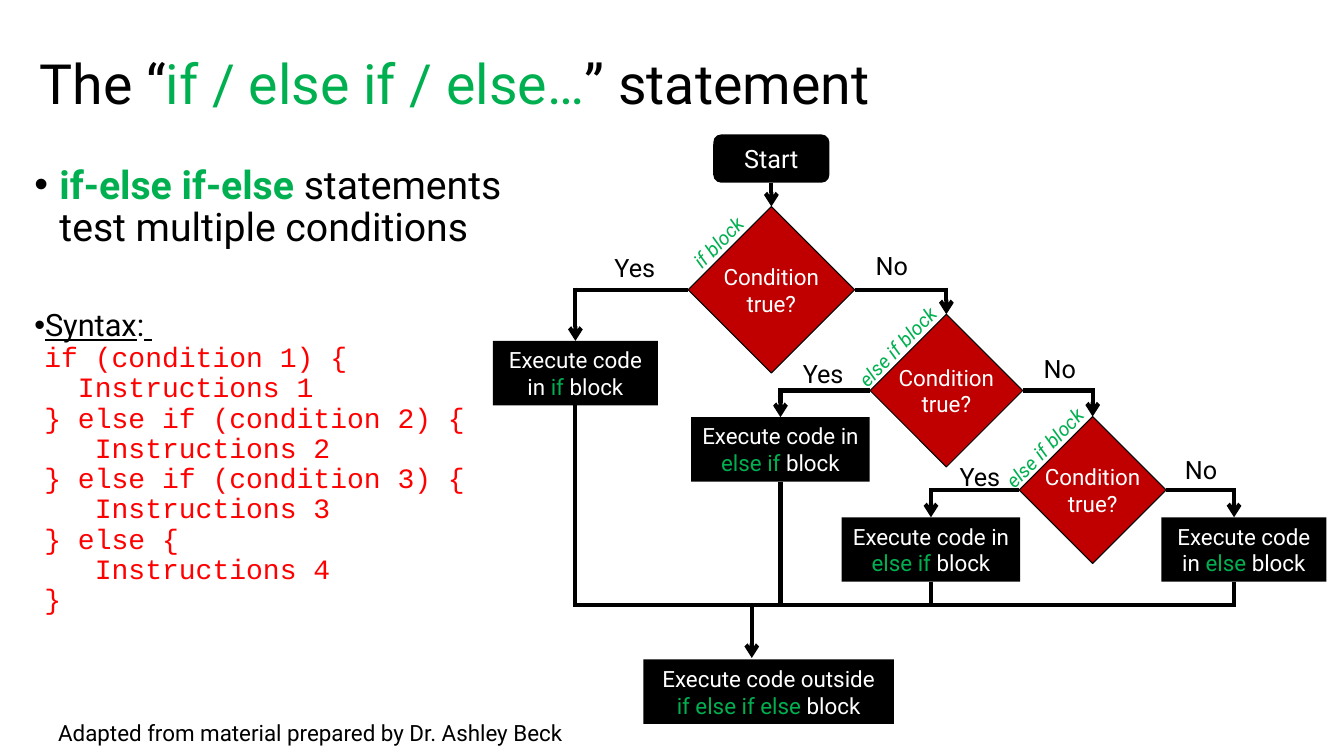
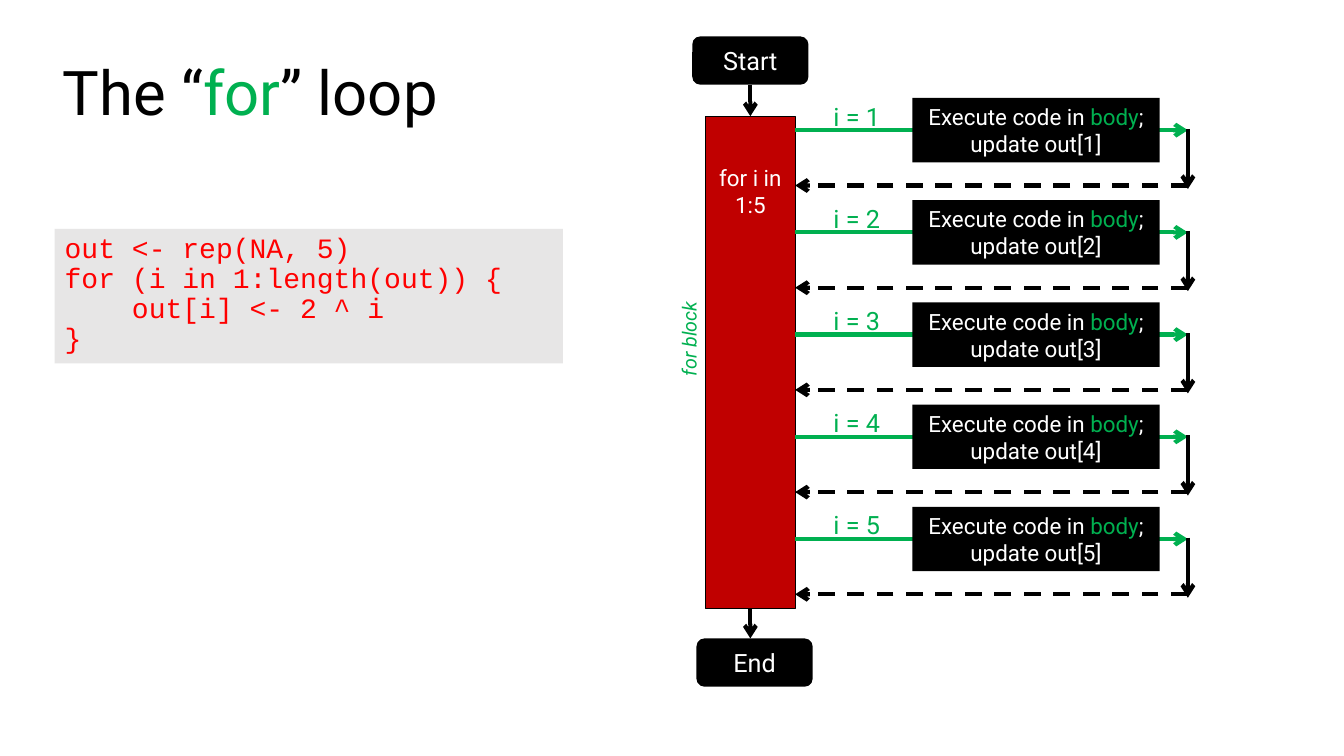
import copy
import dataclasses

import lxml.etree
import pptx
import pptx.dml.color
import pptx.enum.dml
import pptx.enum.shapes
import pptx.enum.text
import pptx.oxml.ns
import pptx.util

Pt = pptx.util.Pt
RGBColor = pptx.dml.color.RGBColor
Shape = pptx.enum.shapes.MSO_SHAPE
Align = pptx.enum.text.PP_ALIGN
Anchor = pptx.enum.text.MSO_ANCHOR
qn = pptx.oxml.ns.qn

BLACK = RGBColor(0x00, 0x00, 0x00)
WHITE = RGBColor(0xFF, 0xFF, 0xFF)
GREEN = RGBColor(0x00, 0xB0, 0x50)
RED = RGBColor(0xC0, 0x00, 0x00)
CODE_RED = RGBColor(0xFF, 0x00, 0x00)
GRAY = RGBColor(0xE7, 0xE6, 0xE6)

TEXT_FONT = "Roboto"
CODE_FONT = "Courier New"
TOP, LEFT, BOTTOM, RIGHT = range(4)
LINE_WIDTH = 3
BOX_HEIGHT = 46

IF_CODE = """if (condition 1) {
  Instructions 1
} else if (condition 2) {
   Instructions 2
} else if (condition 3) {
   Instructions 3
} else {
   Instructions 4
}"""
FOR_CODE = """out <- rep(NA, 5)
for (i in 1:length(out)) {
    out[i] <- 2 ^ i
}"""


@dataclasses.dataclass
class Span:
    text: str
    color: RGBColor = BLACK
    size: float = 16
    font: str = TEXT_FONT
    bold: bool = False
    italic: bool = False
    underline: bool = False


class Flowchart:
    def __init__(self, deck):
        self.deck = deck
        self.page = None

    def new_page(self):
        self.page = self.deck.slides.add_slide(self.deck.slide_layouts[1])

    def add_spans(self, para, spans, align=Align.CENTER):
        para.alignment = align
        for span in spans:
            for index, part in enumerate(span.text.split("\n")):
                if index:
                    para.add_line_break()
                if part:
                    run = para.add_run()
                    run.text = part
                    run.font.name = span.font
                    run.font.size = Pt(span.size)
                    run.font.color.rgb = span.color
                    run.font.bold = span.bold
                    run.font.italic = span.italic
                    run.font.underline = span.underline
            for line_break in para._p.findall(qn("a:br")):
                if len(line_break) == 0:
                    line_break.append(copy.deepcopy(run.font._element))

    def place(self, holder, left, top, width, height):
        holder.left, holder.top = Pt(left), Pt(top)
        holder.width, holder.height = Pt(width), Pt(height)
        holder.text_frame.word_wrap = True
        holder.text_frame.auto_size = pptx.enum.text.MSO_AUTO_SIZE.NONE

    def title(self, left, top, width, size, before, keyword, after):
        holder = self.page.shapes.title
        self.place(holder, left, top, width, 84)
        holder.text_frame.vertical_anchor = Anchor.MIDDLE
        para = holder.text_frame.paragraphs[0]
        para.line_spacing = 0.9
        self.add_spans(para, [Span(before, size=size), Span(keyword, GREEN, size),
                              Span(after, size=size)], Align.LEFT)

    def body(self, left, top, width, height):
        holder = self.page.placeholders[1]
        self.place(holder, left, top, width, height)
        holder.text_frame.vertical_anchor = Anchor.TOP
        return holder

    def body_para(self, para, spans, before=10, margin=0, indent=0, bullet=False):
        self.add_spans(para, spans, Align.LEFT)
        para.line_spacing = 0.9
        para.space_before = Pt(before)
        props = para._p.get_or_add_pPr()
        props.set("marL", str(Pt(margin)))
        props.set("indent", str(Pt(indent)))
        if bullet:
            color = lxml.etree.SubElement(props, qn("a:buClr"))
            lxml.etree.SubElement(color, qn("a:srgbClr")).set("val", str(BLACK))
            lxml.etree.SubElement(props, qn("a:buFont")).set("typeface", "Arial")
            lxml.etree.SubElement(props, qn("a:buChar")).set("char", "•")
        else:
            lxml.etree.SubElement(props, qn("a:buNone"))

    def shape(self, kind, center, top, width, height, spans, fill=BLACK, outline=None):
        shape = self.page.shapes.add_shape(
            kind, Pt(center - width / 2), Pt(top), Pt(width), Pt(height))
        shape.shadow.inherit = False
        shape.fill.solid()
        shape.fill.fore_color.rgb = fill
        if outline is None:
            shape.line.fill.background()
        else:
            shape.line.color.rgb = outline
            shape.line.width = Pt(0.75)
        shape.text_frame.word_wrap = True
        self.add_spans(shape.text_frame.paragraphs[0], spans)
        return shape

    def terminal(self, center, top, text):
        return self.shape(Shape.ROUNDED_RECTANGLE, center, top, 83, 34.5,
                          [Span(text, WHITE, 18)])

    def step(self, center, top, width, before, keyword, after):
        return self.shape(Shape.RECTANGLE, center, top, width, BOX_HEIGHT,
                          [Span(before, WHITE), Span(keyword, GREEN), Span(after, WHITE)])

    def decision(self, center, middle, size):
        diamond = self.shape(Shape.DIAMOND, center, middle - size / 2, size, size,
                             [Span("Condition\ntrue?", WHITE)], RED, BLACK)
        diamond.text_frame.word_wrap = False
        return diamond

    def text(self, left, top, width, height, span, align=Align.LEFT, rotation=0):
        box = self.page.shapes.add_textbox(Pt(left), Pt(top), Pt(width), Pt(height))
        box.rotation = rotation
        box.text_frame.word_wrap = True
        self.add_spans(box.text_frame.paragraphs[0], [span], align)

    def label(self, center, middle, text, color=BLACK):
        self.text(center - 29, middle - 14.5, 58, 29, Span(text, color, 18), Align.CENTER)

    def block_label(self, center, middle, text, rotation):
        self.text(center - 51, middle - 12, 102, 24,
                  Span(text, GREEN, 14, italic=True), Align.CENTER, rotation)

    def line(self, start, end, color=BLACK, arrow=False, dashed=False,
             source=None, target=None):
        line = self.page.shapes.add_connector(
            pptx.enum.shapes.MSO_CONNECTOR.STRAIGHT, *[Pt(value) for value in (*start, *end)])
        if source:
            line.begin_connect(*source)
        if target:
            line.end_connect(*target)
        line.line.color.rgb = color
        line.line.width = Pt(LINE_WIDTH)
        if dashed:
            line.line.dash_style = pptx.enum.dml.MSO_LINE_DASH_STYLE.DASH
        props = line._element.spPr
        if arrow:
            tail = lxml.etree.SubElement(props.find(qn("a:ln")), qn("a:tailEnd"))
            tail.set("type", "arrow")
        lxml.etree.SubElement(props, qn("a:effectLst"))

    def branch(self, diamond, side, corner, bottom, target=None):
        center, middle = corner
        edge = diamond.left.pt + (diamond.width.pt if side == RIGHT else 0)
        self.line((edge, middle), corner, source=(diamond, side))
        self.line((center, middle - LINE_WIDTH / 2), (center, bottom), arrow=True,
                  target=target)


def build_if_page(chart):
    chart.new_page()
    chart.title(21, 20, 661, 39.6, "The “", "if / else if / else…", "” statement")
    frame = chart.body(17.3, 114.5, 353.5, 342).text_frame
    chart.body_para(frame.paragraphs[0], [
        Span("if-else if-else", GREEN, 28, bold=True),
        Span(" statements test multiple conditions", size=28)], 10, 18, -18, True)
    chart.body_para(frame.add_paragraph(), [
        Span("Syntax", size=22, underline=True), Span(":", size=22),
        Span(" \n", size=22, underline=True),
        Span(IF_CODE, CODE_RED, 20, CODE_FONT)], 43, 7.2, -18, True)

    start = chart.terminal(551, 96, "Start")
    diamonds = [chart.decision(*place) for place in
                ((551, 207, 119), (676, 279, 109), (780.5, 350, 105))]
    steps = [chart.step(center, top, width, "Execute code in ", keyword, " block")
             for center, top, width, keyword in (
                 (411, 243.5, 118, "if"), (557.5, 298, 127.5, "else if"),
                 (665, 369.5, 127.5, "else if"), (888.5, 369.5, 118, "else"))]
    chart.step(549, 471, 179, "Execute code outside ", "if else if else", " block")
    chart.line((551, 130.5), (551, 147.5), arrow=True,
               source=(start, BOTTOM), target=(diamonds[0], TOP))

    merge, last = 432, 881.5
    centers, middles = (411, 557.5, 665), (207, 279, 350)
    for diamond, box, center, middle in zip(diamonds, steps, centers, middles):
        chart.branch(diamond, LEFT, (center, middle), box.top.pt, (box, TOP))
        chart.line((center, box.top.pt + BOX_HEIGHT), (center, merge), source=(box, BOTTOM))
    for index, center in enumerate((676, 780.5)):
        following = diamonds[index + 1]
        chart.branch(diamonds[index], RIGHT, (center, middles[index]),
                     following.top.pt, (following, TOP))
    chart.branch(diamonds[2], RIGHT, (last, middles[2]), 369.5)
    chart.line((last, 369.5 + BOX_HEIGHT), (last, merge))
    chart.line((centers[0] - LINE_WIDTH / 2, merge), (last + LINE_WIDTH / 2, merge))
    chart.line((537, merge), (537, 470), arrow=True)

    for yes, no, block, name in (
            ((453.5, 191.5), (637, 190), (513, 173), "if block"),
            ((588, 267), (757, 263.5), (641, 247.5), "else if block"),
            ((700, 340.5), (858, 335.5), (746, 320), "else if block")):
        chart.label(*yes, "Yes")
        chart.label(*no, "No")
        chart.block_label(*block, name, 314)
    chart.text(34.5, 510, 736.5, 26.5,
               Span("Adapted from material prepared by Dr. Ashley Beck"))


def build_for_page(chart):
    chart.new_page()
    chart.title(37.5, 26, 648, 44, "The “", "for", "” loop")
    code = chart.body(39, 163.5, 363, 96)
    code.fill.solid()
    code.fill.fore_color.rgb = GRAY
    chart.body_para(code.text_frame.paragraphs[0], [Span(FOR_CODE, CODE_RED, 20, CODE_FONT)])

    axis, bar_right, turn = 536, 568, 848.5
    start = chart.terminal(axis, 26, "Start")
    bar = chart.shape(Shape.RECTANGLE, axis, 83, 64, 352,
                      [Span("for i in 1:5", WHITE)], RED, BLACK)
    bar.text_frame.vertical_anchor = Anchor.TOP
    bar.text_frame.margin_top = Pt(34.5)
    chart.terminal(539, 456, "End")
    chart.line((axis, 60.5), (axis, 83), arrow=True, source=(start, BOTTOM), target=(bar, TOP))
    chart.line((axis, 435), (axis, 456), arrow=True, source=(bar, BOTTOM))
    chart.block_label(492, 242, "for block", 270)

    for index in range(1, 6):
        middle = 93 + 73 * (index - 1)
        back = middle + 39.5
        chart.line((bar_right, middle), (turn, middle), GREEN, arrow=True)
        chart.label(612, middle - 10, f"i = {index}", GREEN)
        chart.step(740, middle - BOX_HEIGHT / 2, 176.5,
                   "Execute code in ", "body", f"; update out[{index}]")
        chart.line((turn, middle - 1), (turn, middle + 42), arrow=True)
        chart.line((turn, back), (bar_right, back), arrow=True, dashed=True)


def main():
    deck = pptx.Presentation()
    deck.slide_width, deck.slide_height = Pt(960), Pt(540)
    chart = Flowchart(deck)
    build_if_page(chart)
    build_for_page(chart)
    deck.save("out.pptx")


if __name__ == "__main__":
    main()
